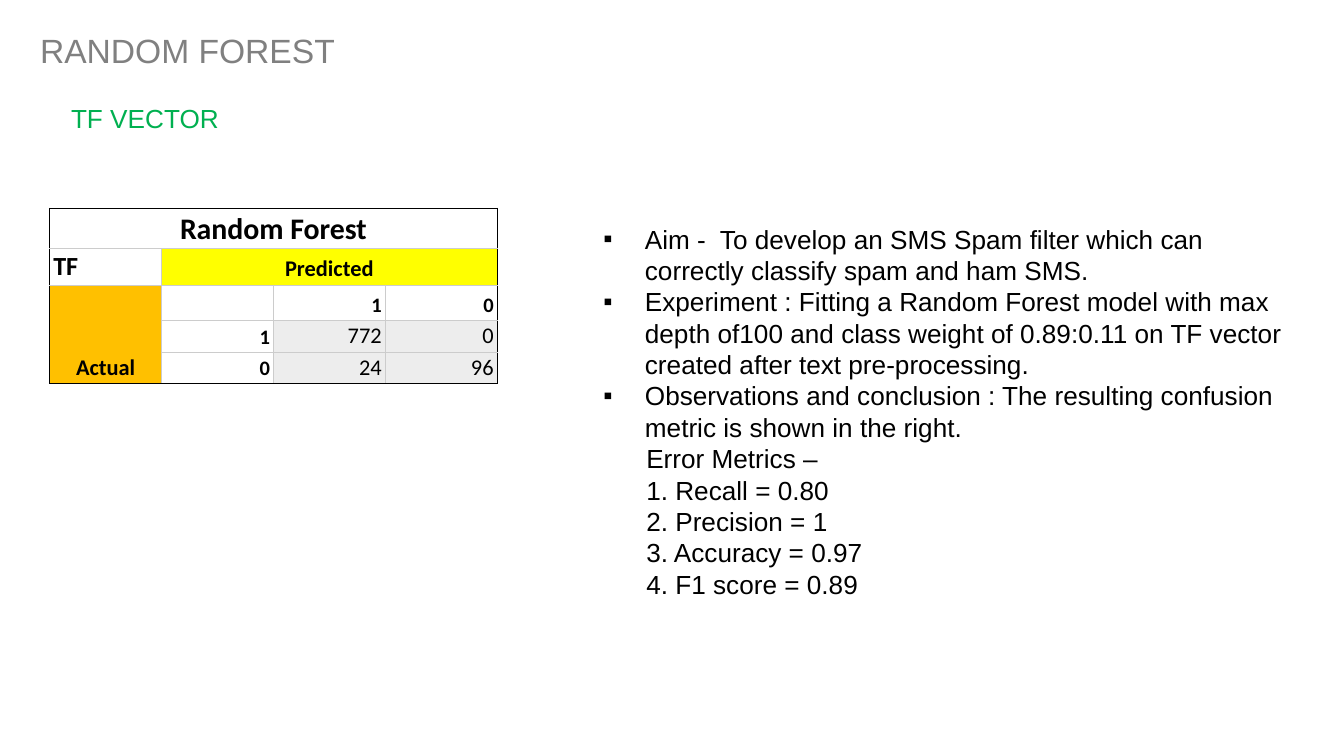
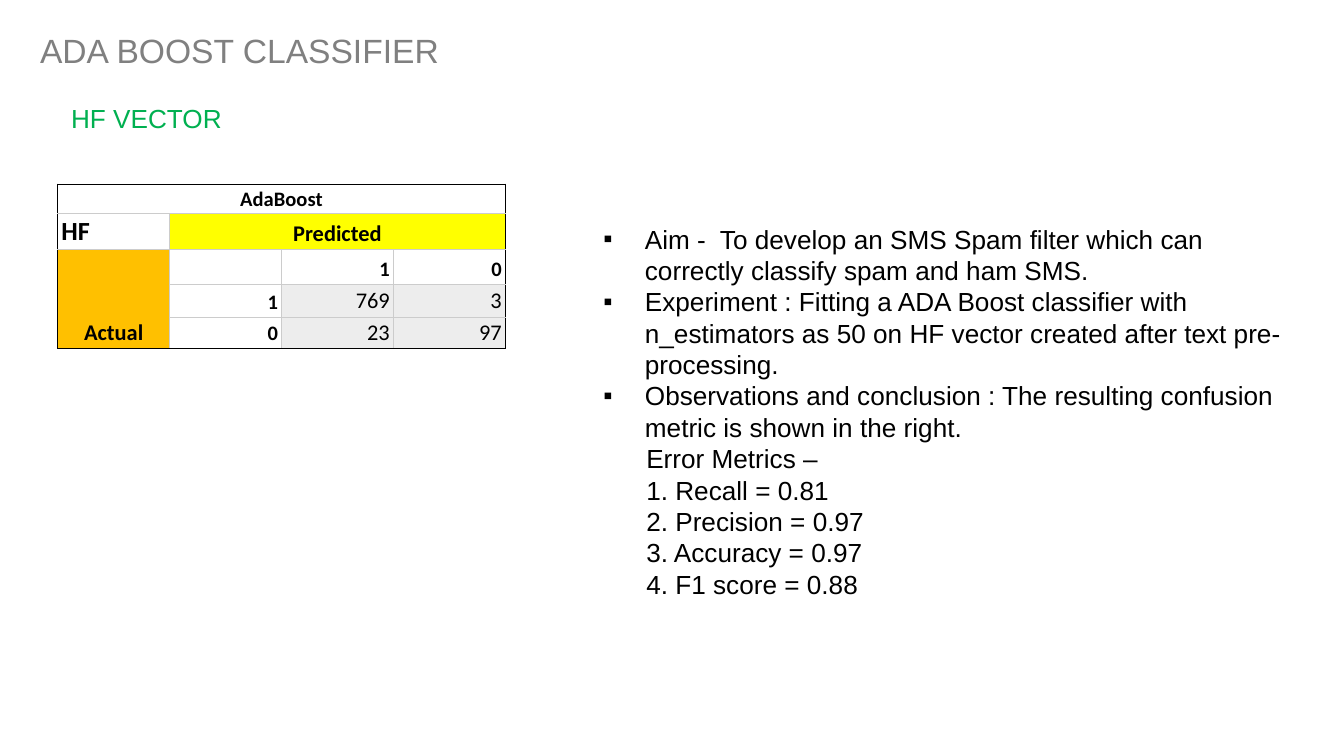
import pptx
import pptx.util
import pptx.dml.color
import pptx.enum.text
import pptx.oxml.ns
from lxml import etree
from pptx.util import Inches

BLACK, GRAY, GREEN = "000000", "808080", "00B050"
YELLOW, ORANGE, PALE, GRID = "FFFF00", "FFC000", "EDEDED", "CCCCCC"
LEFT, CENTER, RIGHT = (pptx.enum.text.PP_ALIGN.LEFT,
                       pptx.enum.text.PP_ALIGN.CENTER,
                       pptx.enum.text.PP_ALIGN.RIGHT)
TABLE_WIDTH = 3.33
BULLET_INDENT = 0.31
METRIC_INDENT = 0.32
AIM = ("Aim -  To develop an SMS Spam filter which can correctly "
       "classify spam and ham SMS.")
CONCLUSION = ("Observations and conclusion : The resulting confusion "
              "metric is shown in the right.")
METRICS = ("Recall", "Precision", "Accuracy", "F1 score")


def rgb(color):
    return pptx.dml.color.RGBColor.from_string(color)


def sub(parent, tag, **attributes):
    return etree.SubElement(parent, pptx.oxml.ns.qn(tag), **attributes)


def set_font(p, size, color=BLACK, name="Arial", bold=False):
    p.font.name = name
    p.font.size = pptx.util.Pt(size)
    p.font.bold = bold
    p.font.color.rgb = rgb(color)


def add_box(s, left, top, width, height, wrap=True):
    tf = s.shapes.add_textbox(Inches(left), Inches(top),
                              Inches(width), Inches(height)).text_frame
    tf.word_wrap = wrap
    tf.auto_size = pptx.enum.text.MSO_AUTO_SIZE.SHAPE_TO_FIT_TEXT
    return tf


def add_headings(s, title, vector):
    p = add_box(s, 0.43, 0.71, 1.32, 0.34, wrap=False).paragraphs[0]
    p.text = f"{vector} VECTOR"
    set_font(p, 14, GREEN)
    p = add_box(s, 0.2, 0.17, 6.88, 0.4).paragraphs[0]
    p.text = title
    set_font(p, 18, GRAY)


def indent(p, left, bullet=None):
    pPr = p._p.get_or_add_pPr()
    pPr.set("marL", str(Inches(left)))
    if bullet:
        pPr.set("indent", str(-Inches(left)))
        sub(sub(pPr, "a:buClr"), "a:srgbClr", val=BLACK)
        sub(pPr, "a:buFont", typeface="Arial")
        sub(pPr, "a:buChar", char=bullet)


def add_findings(s, experiment, scores, height):
    tf = add_box(s, 4.39, 1.61, 5.32, height)
    points = [AIM, f"Experiment : {experiment}", CONCLUSION]
    metrics = ["Error Metrics –"] + [
        f"{i}. {name} = {score}"
        for i, (name, score) in enumerate(zip(METRICS, scores), 1)]
    for i, text in enumerate(points + metrics):
        p = tf.add_paragraph() if i else tf.paragraphs[0]
        p.text = text
        if i < len(points):
            indent(p, BULLET_INDENT, "▪")
        else:
            indent(p, METRIC_INDENT)
        set_font(p, 14)


def set_borders(cell, row, col, last_row, last_col):
    """Black on the table's outer edges, light grey inside."""
    if cell.is_merge_origin:
        bottom, right = row + cell.span_height - 1, col + cell.span_width - 1
    else:
        bottom, right = row, col
    edges = {"L": col == 0, "R": right == last_col,
             "T": row == 0, "B": bottom == last_row}
    tcPr = cell._tc.get_or_add_tcPr()
    for side, outer in edges.items():
        ln = sub(tcPr, f"a:ln{side}", w=str(pptx.util.Pt(0.6)))
        sub(sub(ln, "a:solidFill"), "a:srgbClr", val=BLACK if outer else GRID)


def fill_cell(cell, text, size, align, bold, fill):
    cell.margin_left = cell.margin_right = pptx.util.Pt(1.9)
    cell.margin_top = cell.margin_bottom = pptx.util.Pt(1.25)
    cell.vertical_anchor = pptx.enum.text.MSO_ANCHOR.BOTTOM
    if fill:
        cell.fill.solid()
        cell.fill.fore_color.rgb = rgb(fill)
    else:
        cell.fill.background()
    p = cell.text_frame.paragraphs[0]
    if text:
        p.text = text
        p.alignment = align
        set_font(p, size, name="Calibri", bold=bold)
    else:
        sub(p._p, "a:endParaRPr", sz=str(size * 100))


def add_confusion_matrix(s, left, top, name, name_size, vector, counts, heights):
    table = s.shapes.add_table(5, 4, Inches(left), Inches(top),
                               Inches(TABLE_WIDTH), Inches(sum(heights))).table
    table.first_row = table.horz_banding = False
    for column in table.columns:
        column.width = Inches(TABLE_WIDTH / 4)
    for row, height in zip(table.rows, heights):
        row.height = Inches(height)
    table.cell(0, 0).merge(table.cell(0, 3))
    table.cell(1, 1).merge(table.cell(1, 3))
    table.cell(2, 0).merge(table.cell(4, 0))

    # (row, column): text, size, alignment, bold, fill
    content = {(0, 0): (name, name_size, CENTER, True, None),
               (1, 0): (vector, 14, LEFT, True, None),
               (1, 1): ("Predicted", 12, CENTER, True, YELLOW),
               (2, 0): ("Actual", 12, CENTER, True, ORANGE)}
    for i, label in enumerate("10"):
        content[2, 2 + i] = content[3 + i, 1] = (label, 11, RIGHT, True, None)
        for j in range(2):
            content[3 + i, 2 + j] = (str(counts[i][j]), 12, RIGHT, False, PALE)
    blank = ("", 11, LEFT, False, None)
    for row in range(5):
        for col in range(4):
            cell = table.cell(row, col)
            if not cell.is_spanned:
                set_borders(cell, row, col, 4, 3)
            fill_cell(cell, *content.get((row, col), blank))


def main():
    prs = pptx.Presentation()
    prs.slide_width = Inches(10)
    prs.slide_height = prs.slide_width * 9 // 16

    s = prs.slides.add_slide(prs.slide_layouts[6])
    add_headings(s, "RANDOM FOREST", "TF")
    add_confusion_matrix(s, 0.37, 1.55, "Random Forest", 16, "TF",
                         [(772, 0), (24, 96)], [0.3, 0.27, 0.26, 0.24, 0.23])
    add_findings(
        s, "Fitting a Random Forest model with max depth of100 and class weight "
        "of 0.89:0.11 on TF vector created after text pre-processing.",
        ("0.80", "1", "0.97", "0.89"), 2.93)

    s = prs.slides.add_slide(prs.slide_layouts[6])
    add_headings(s, "ADA BOOST CLASSIFIER", "HF")
    add_confusion_matrix(s, 0.43, 1.37, "AdaBoost", 11, "HF",
                         [(769, 3), (23, 97)], [0.22, 0.27, 0.26, 0.24, 0.23])
    add_findings(
        s, "Fitting a ADA Boost classifier with n_estimators as 50 on HF vector "
        "created after text pre-processing.",
        ("0.81", "0.97", "0.97", "0.88"), 3.4)

    prs.save("out.pptx")


if __name__ == "__main__":
    main()
